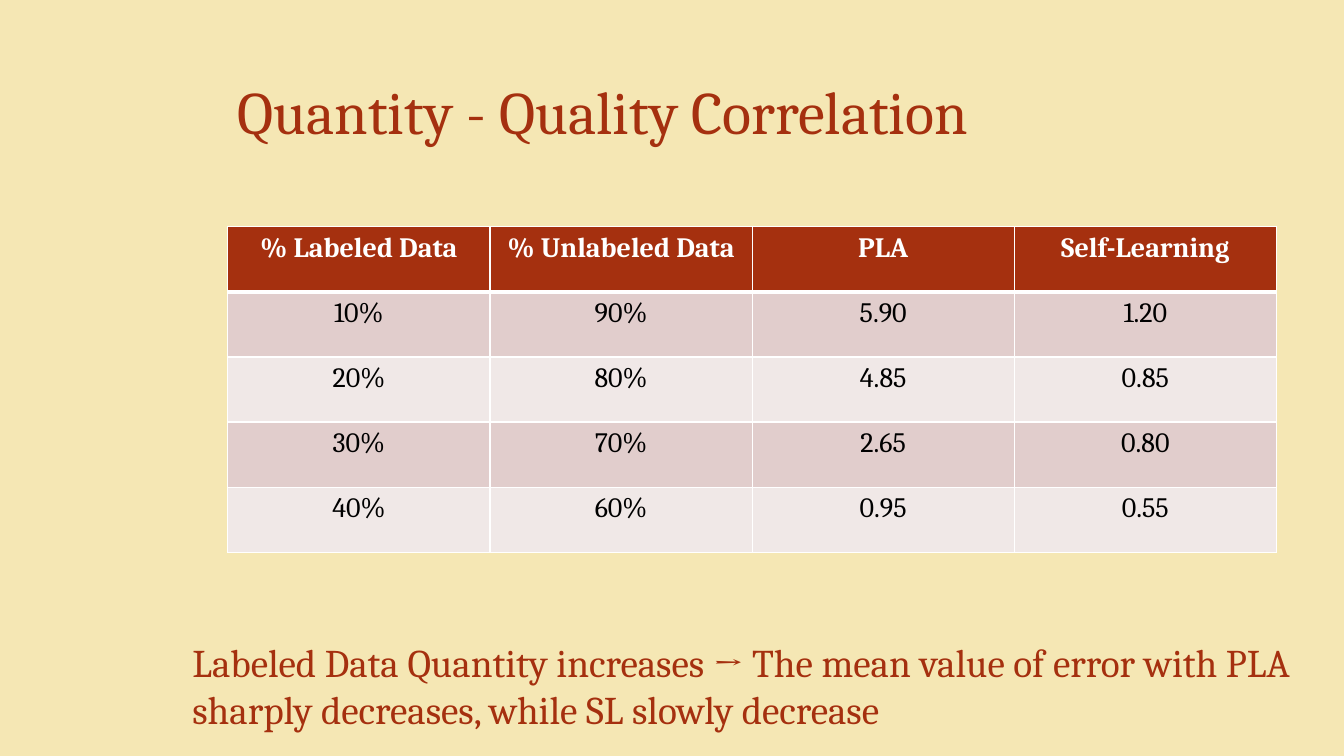
from lxml.etree import SubElement
from pptx import Presentation
from pptx.dml.color import RGBColor
from pptx.enum.text import MSO_ANCHOR, PP_ALIGN
from pptx.oxml.ns import qn
from pptx.util import Inches, Pt

CREAM = RGBColor(0xF5, 0xE7, 0xB4)
RUST = RGBColor(0xA5, 0x30, 0x0F)
WHITE = RGBColor(0xFF, 0xFF, 0xFF)
BLACK = RGBColor(0x00, 0x00, 0x00)
ROSE = RGBColor(0xE1, 0xCD, 0xCC)
PALE_ROSE = RGBColor(0xF0, 0xE8, 0xE7)
FONT = "Cambria"

ERROR_ROWS = [
    ["% Labeled Data", "% Unlabeled Data", "PLA", "Self-Learning"],
    ["10%", "90%", "5.90", "1.20"],
    ["20%", "80%", "4.85", "0.85"],
    ["30%", "70%", "2.65", "0.80"],
    ["40%", "60%", "0.95", "0.55"],
]


def write_text(text_frame, text, size, color, bold=False,
               align=PP_ALIGN.LEFT, anchor=MSO_ANCHOR.TOP):
    text_frame.word_wrap = True
    text_frame.vertical_anchor = anchor
    paragraph = text_frame.paragraphs[0]
    paragraph.alignment = align
    run = paragraph.add_run()
    run.text = text
    run.font.name = FONT
    run.font.size = Pt(size)
    run.font.bold = bold
    run.font.color.rgb = color


def add_text(slide, box, text, **text_format):
    shape = slide.shapes.add_textbox(*map(Inches, box))
    write_text(shape.text_frame, text, **text_format)


def set_borders(cell, color, **widths):
    """Draw cell borders; widths are points keyed L, R, T, B in that order."""
    properties = cell._tc.get_or_add_tcPr()
    for side, width in widths.items():
        line = SubElement(properties, qn(f"a:ln{side}"), w=str(Pt(width)))
        fill = SubElement(line, qn("a:solidFill"))
        SubElement(fill, qn("a:srgbClr"), val=str(color))


def add_error_table(slide, box, rows):
    left, top, width, height = map(Inches, box)
    table = slide.shapes.add_table(
        len(rows), len(rows[0]), left, top, width, height).table
    for row_index, values in enumerate(rows):
        header = row_index == 0
        background = RUST if header else (PALE_ROSE, ROSE)[row_index % 2]
        for column_index, value in enumerate(values):
            cell = table.cell(row_index, column_index)
            set_borders(cell, WHITE, L=1, R=1,
                        T=3 if row_index == 1 else 1, B=3 if header else 1)
            cell.fill.solid()
            cell.fill.fore_color.rgb = background
            write_text(cell.text_frame, value, size=20, bold=header,
                       color=WHITE if header else BLACK, align=PP_ALIGN.CENTER)


def build_correlation_slide(presentation):
    slide = presentation.slides.add_slide(presentation.slide_layouts[6])
    slide.background.fill.solid()
    slide.background.fill.fore_color.rgb = CREAM
    add_text(slide, (2.26, 0.47, 10.93, 1.25), "Quantity - Quality Correlation",
             size=43, color=RUST, anchor=MSO_ANCHOR.MIDDLE)
    add_error_table(slide, (2.26, 2.25, 10.4, 3.23), ERROR_ROWS)
    add_text(slide, (1.81, 6.28, 11.12, 1.01),
             "Labeled Data Quantity increases → The mean value of error with PLA "
             "sharply decreases, while SL slowly decrease",
             size=28, color=RUST)


def main():
    presentation = Presentation()
    presentation.slide_width = Inches(13.33)
    presentation.slide_height = Inches(7.5)
    build_correlation_slide(presentation)
    presentation.save("out.pptx")


if __name__ == "__main__":
    main()
